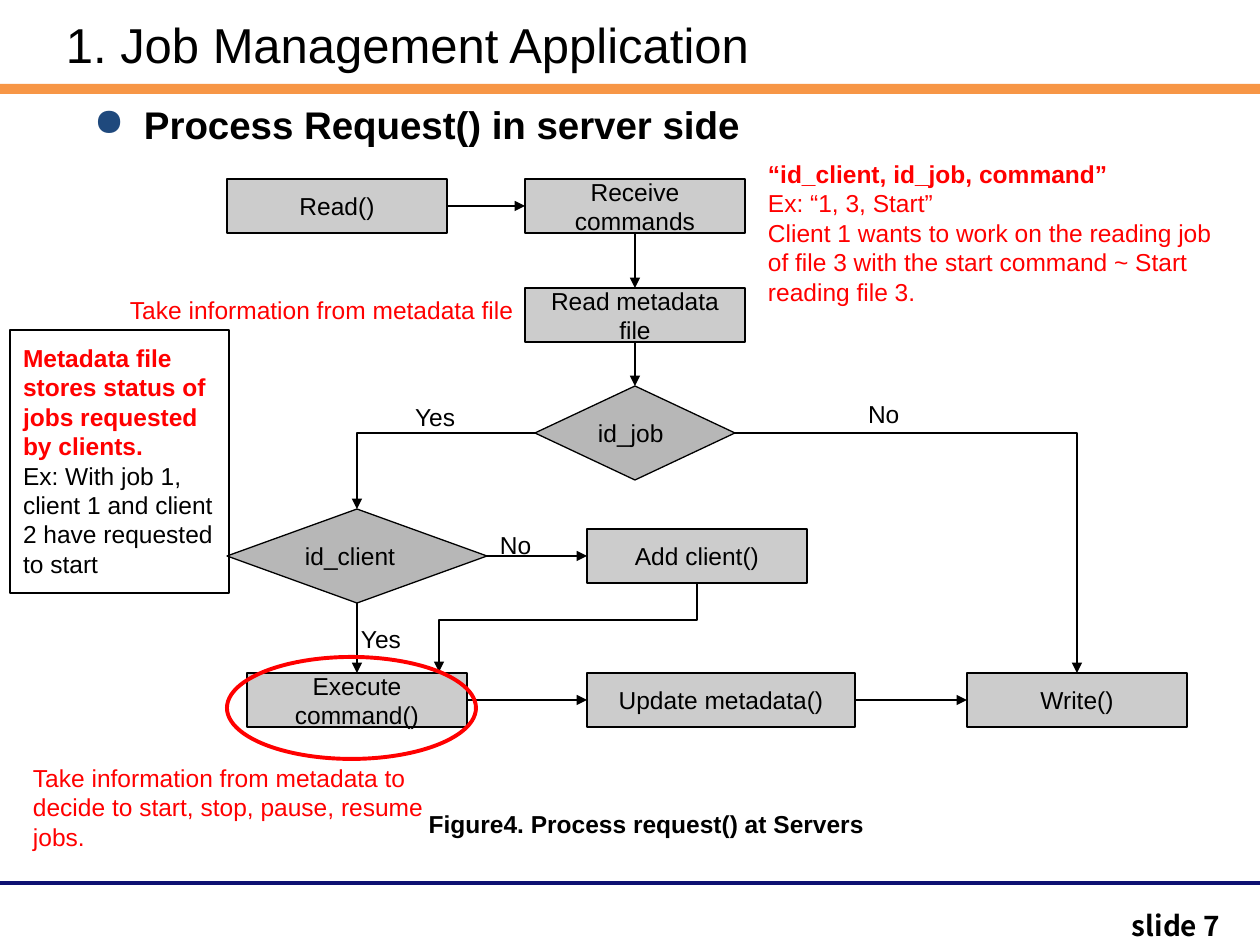
import pptx
import pptx.dml.color
import pptx.enum.shapes
import pptx.enum.text
import pptx.oxml.ns
import pptx.util
from lxml import etree

SHAPES = pptx.enum.shapes.MSO_SHAPE
CONNECTORS = pptx.enum.shapes.MSO_CONNECTOR
ALIGN = pptx.enum.text.PP_ALIGN
ANCHOR = pptx.enum.text.MSO_ANCHOR
TOP, LEFT, BOTTOM, RIGHT = range(4)
BLACK, RED, GREY, DARK_GREY = "000000", "FF0000", "CCCCCC", "B7B7B7"


def px(length):
    return pptx.util.Emu(round(length * 914400 / 126))


def color(hex_code):
    return pptx.dml.color.RGBColor.from_string(hex_code)


def child(parent, tag, **attributes):
    return etree.SubElement(parent, pptx.oxml.ns.qn(tag), attributes)


class FlowSlide:
    font = "Arial"
    size = 14
    inset = 13
    line_width = 0.75

    def __init__(self, slide):
        self.slide = slide

    def fill_text(self, shape, lines, size=None, font=None, align=ALIGN.LEFT,
                  anchor=ANCHOR.TOP, inset_y=inset):
        frame = shape.text_frame
        frame.word_wrap = True
        frame.vertical_anchor = anchor
        frame.margin_left = frame.margin_right = px(self.inset)
        frame.margin_top = frame.margin_bottom = px(inset_y)
        for index, (words, hex_code, bold) in enumerate(lines):
            paragraph = frame.add_paragraph() if index else frame.paragraphs[0]
            paragraph.text = words
            paragraph.alignment = align
            paragraph.font.name = font or self.font
            paragraph.font.size = pptx.util.Pt(size or self.size)
            paragraph.font.bold = bold
            paragraph.font.color.rgb = color(hex_code)

    def text(self, x, y, w, h, lines, **style):
        box = self.slide.shapes.add_textbox(px(x), px(y), px(w), px(h))
        self.fill_text(box, lines, **style)
        return box

    def bullet(self, x, y, w, h, words, size, bullet_color):
        box = self.text(x, y, w, h, [(words, BLACK, True)], size=size)
        properties = box.text_frame.paragraphs[0]._p.get_or_add_pPr()
        properties.set("marL", str(px(63)))
        properties.set("indent", str(px(-50)))
        default_run = properties.find(pptx.oxml.ns.qn("a:defRPr"))
        bullet_fill = child(properties, "a:buClr")
        child(bullet_fill, "a:srgbClr", val=bullet_color)
        child(properties, "a:buChar", char="●")
        if default_run is not None:
            properties.append(default_run)

    def shape(self, kind, x, y, w, h, fill=None, line=BLACK, width=line_width):
        shape = self.slide.shapes.add_shape(kind, px(x), px(y), px(w), px(h))
        shape.shadow.inherit = False
        if fill:
            shape.fill.solid()
            shape.fill.fore_color.rgb = color(fill)
        else:
            shape.fill.background()
        if line:
            shape.line.color.rgb = color(line)
            shape.line.width = pptx.util.Pt(width)
        else:
            shape.line.fill.background()
        return shape

    def step(self, x, y, words, w=220):
        shape = self.shape(SHAPES.RECTANGLE, x, y, w, 54, GREY)
        self.fill_text(shape, [(words, BLACK, False)], align=ALIGN.CENTER, anchor=ANCHOR.MIDDLE)
        return shape

    def decision(self, x, y, w, words):
        shape = self.shape(SHAPES.FLOWCHART_DECISION, x, y, w, 94, DARK_GREY)
        self.fill_text(shape, [(words, BLACK, False)], anchor=ANCHOR.MIDDLE)
        return shape

    def line(self, x1, y1, x2, y2, hex_code=BLACK, width=line_width, kind=CONNECTORS.STRAIGHT):
        line = self.slide.shapes.add_connector(kind, px(x1), px(y1), px(x2), px(y2))
        line.line.color.rgb = color(hex_code)
        line.line.width = pptx.util.Pt(width)
        child(line._element.spPr, "a:effectLst")
        return line

    def arrowhead(self, line):
        outline = line._element.spPr.find(pptx.oxml.ns.qn("a:ln"))
        child(outline, "a:tailEnd", type="triangle")

    def arrow(self, start, start_side, end, end_side, corner=False):
        kind = CONNECTORS.ELBOW if corner else CONNECTORS.STRAIGHT
        line = self.line(0, 0, 0, 0, kind=kind)
        line.begin_connect(start, start_side)
        line.end_connect(end, end_side)
        if corner:
            line._element.spPr.prstGeom.set("prst", "bentConnector2")
        self.arrowhead(line)

    def step_down_arrow(self, x1, y1, x2, y2, bend):
        run, drop = x1 - x2, y2 - y1
        left, top = (x1 + x2 - drop) / 2, (y1 + y2 - run) / 2
        line = self.line(left, top, left + drop, top + run, kind=CONNECTORS.ELBOW)
        properties = line._element.spPr
        properties.xfrm.set("rot", str(90 * 60000))
        guides = properties.prstGeom.get_or_add_avLst()
        child(guides, "a:gd", name="adj1", fmla=f"val {round(bend * 100000)}")
        self.arrowhead(line)


def main():
    deck = pptx.Presentation()
    deck.slide_width, deck.slide_height = px(1260), px(945)
    flow = FlowSlide(deck.slides.add_slide(deck.slide_layouts[6]))

    flow.line(0, 883, 1260, 883, "0E1172", 2.25)
    flow.shape(SHAPES.RECTANGLE, 0, 84, 1260, 10, "F79646", None)
    flow.text(1119, 903, 141, 47, [("slide 7", BLACK, True)], size=16,
              font="Noto Sans CJK KR", inset_y=6)
    flow.text(53, 5, 1134, 77, [("1. Job Management Application", BLACK, False)],
              size=28, anchor=ANCHOR.MIDDLE, inset_y=6)
    flow.bullet(68, 88, 1134, 72, "Process Request() in server side", 22, "1F497D")
    flow.text(407, 796, 479, 55, [("Figure4. Process request() at Servers", BLACK, True)],
              align=ALIGN.CENTER)

    read_request = flow.step(227, 179, "Read()")
    receive = flow.step(525, 179, "Receive commands")
    read_metadata = flow.step(525, 288, "Read metadata file")
    id_job = flow.decision(535, 386, 200, "id_job")
    id_client = flow.decision(227, 509, 260, "id_client")
    add_client = flow.step(587, 529, "Add client()")
    execute = flow.step(247, 673, "Execute command()")
    update_metadata = flow.step(587, 673, "Update metadata()", w=268)
    write_reply = flow.step(967, 673, "Write()")

    for start, end in ((read_request, receive), (id_client, add_client),
                       (execute, update_metadata), (update_metadata, write_reply)):
        flow.arrow(start, RIGHT, end, LEFT)
    for start, end in ((receive, read_metadata), (read_metadata, id_job), (id_client, execute)):
        flow.arrow(start, BOTTOM, end, TOP)
    flow.arrow(id_job, LEFT, id_client, TOP, corner=True)
    flow.arrow(id_job, RIGHT, write_reply, TOP, corner=True)
    flow.step_down_arrow(697, 584, 439, 672, 0.41)

    for x, y, answer in ((402, 389, "Yes"), (855, 386, "No"), (348, 611, "Yes"), (487, 517, "No")):
        flow.text(x, y, 79, 55, [(answer, BLACK, False)])

    flow.text(755, 146, 479, 174, [
        ("“id_client, id_job, command”", RED, True),
        ("Ex: “1, 3, Start”", RED, False),
        ("Client 1 wants to work on the reading job of file 3 with the start command"
         " ~ Start reading file 3.", RED, False)])
    flow.text(117, 282, 427, 55, [("Take information from metadata file", RED, False)])
    metadata_note = flow.shape(SHAPES.RECTANGLE, 10, 330, 219, 263)
    flow.fill_text(metadata_note, [
        ("Metadata file stores status of jobs requested by clients.", RED, True),
        ("Ex: With job 1, client 1 and client 2 have requested to start", BLACK, False)])
    flow.shape(SHAPES.OVAL, 227, 657, 249, 102, line=RED, width=2.25)
    flow.text(20, 750, 427, 115, [
        ("Take information from metadata to decide to start, stop, pause, resume jobs.", RED, False)])

    deck.save("out.pptx")


if __name__ == "__main__":
    main()
